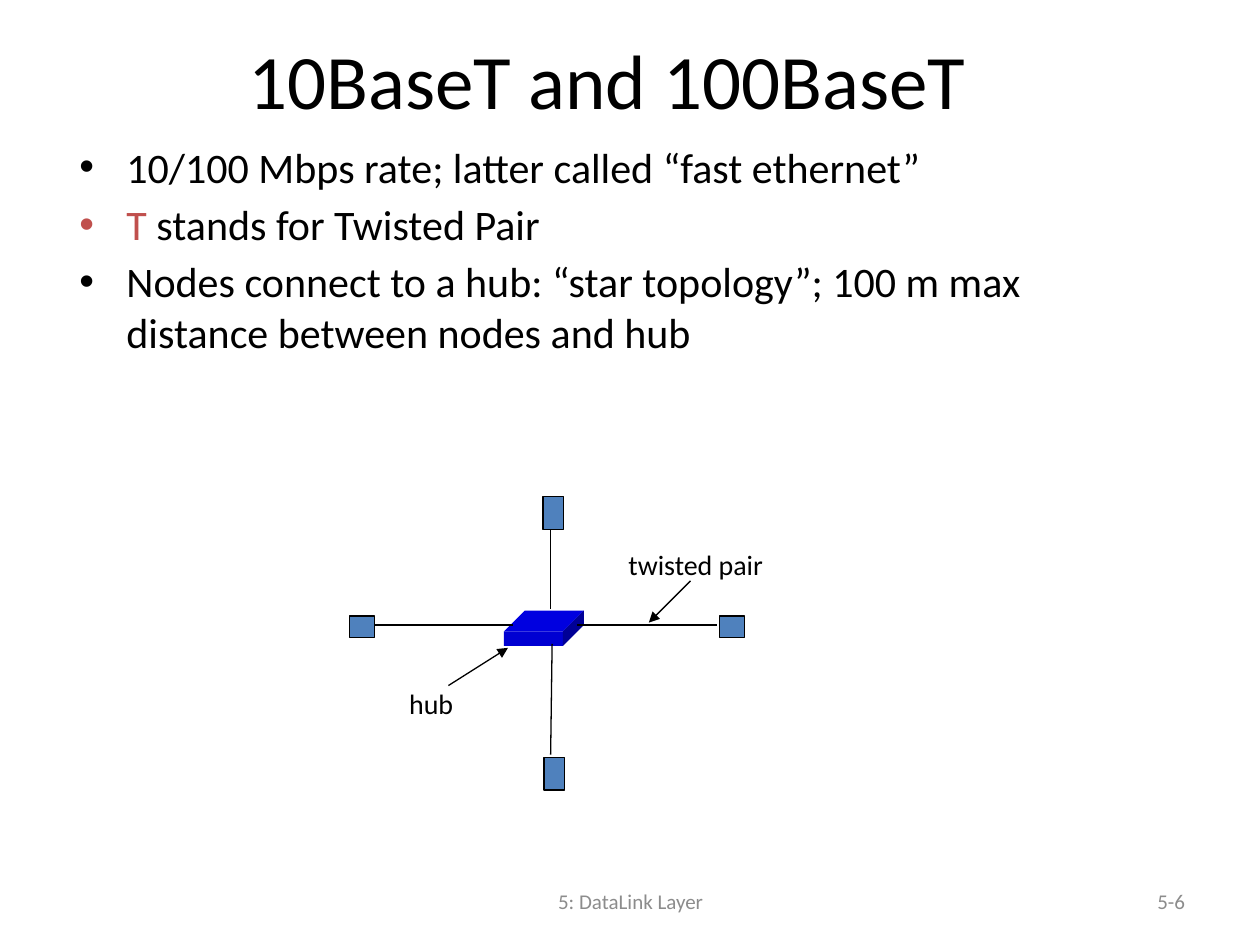
from lxml.etree import SubElement
from pptx import Presentation
from pptx.dml.color import RGBColor
from pptx.enum.shapes import MSO_CONNECTOR, MSO_SHAPE
from pptx.enum.text import MSO_ANCHOR, PP_ALIGN
from pptx.oxml.ns import qn
from pptx.util import Cm, Pt

BLACK = RGBColor(0x00, 0x00, 0x00)
GREY = RGBColor(0x8C, 0x8C, 0x8C)
RED = RGBColor(0xC0, 0x50, 0x4D)
NODE_BLUE = RGBColor(0x4F, 0x81, 0xBD)
HUB_FRONT = RGBColor(0x00, 0x00, 0xD2)
HUB_TOP = RGBColor(0x00, 0x00, 0xE0)
HUB_SIDE = RGBColor(0x00, 0x00, 0x96)


class SlideBuilder:
    font_name = "Calibri"
    line_width = Pt(0.75)

    def __init__(self, slide):
        self.slide = slide

    def text(self, box, paragraphs, size, color=BLACK, align=PP_ALIGN.LEFT,
             anchor=MSO_ANCHOR.TOP, wrap=True, bullets=False):
        """Each paragraph is a list of (text, color) runs; None means the box color."""
        frame = self.slide.shapes.add_textbox(*map(Cm, box)).text_frame
        frame.word_wrap = wrap
        frame.vertical_anchor = anchor
        for index, runs in enumerate(paragraphs):
            paragraph = frame.paragraphs[0] if index == 0 else frame.add_paragraph()
            paragraph.alignment = align
            if bullets:
                self.bullet(paragraph)
                paragraph.space_before = Pt(4 if index else 0)
            for content, run_color in runs:
                run = paragraph.add_run()
                run.text = content
                font_format = {"name": self.font_name, "size": Pt(size)}
                for name, value in font_format.items():
                    setattr(run.font, name, value)
                run.font.color.rgb = run_color or color

    def bullet(self, paragraph):
        properties = paragraph._p.get_or_add_pPr()
        indent = Cm(0.95)
        for name, value in {"marL": indent, "indent": -indent}.items():
            properties.set(name, str(value))
        SubElement(properties, qn("a:buFont")).set("typeface", "Arial")
        SubElement(properties, qn("a:buChar")).set("char", "•")

    def paint(self, shape, fill, outline=None):
        shape.shadow.inherit = False
        shape.fill.solid()
        shape.fill.fore_color.rgb = fill
        if outline is None:
            shape.line.fill.background()
        else:
            shape.line.color.rgb = outline
            shape.line.width = self.line_width

    def rectangle(self, box, fill, outline=None):
        shape = self.slide.shapes.add_shape(MSO_SHAPE.RECTANGLE, *map(Cm, box))
        self.paint(shape, fill, outline)

    def polygon(self, points, fill):
        start, *others = [(Cm(x), Cm(y)) for x, y in points]
        builder = self.slide.shapes.build_freeform(*start)
        builder.add_line_segments(others, close=True)
        self.paint(builder.convert_to_shape(), fill)

    def line(self, start, end, arrow=False):
        connector = self.slide.shapes.add_connector(
            MSO_CONNECTOR.STRAIGHT, *map(Cm, start + end))
        connector.line.color.rgb = BLACK
        connector.line.width = self.line_width
        if arrow:
            SubElement(connector.line._get_or_add_ln(), qn("a:tailEnd")).set("type", "triangle")
        SubElement(connector._element.spPr, qn("a:effectLst"))

    def block(self, left, top, width, height, depth):
        """A box seen from above: front, top and right faces."""
        right, bottom = left + width, top + height
        self.rectangle((left, top, width, height), HUB_FRONT)
        self.polygon([(left, top), (left + depth, top - depth),
                      (right + depth, top - depth), (right, top)], HUB_TOP)
        self.polygon([(right, top), (right + depth, top - depth),
                      (right + depth, bottom - depth), (right, bottom)], HUB_SIDE)


def main():
    presentation = Presentation()
    presentation.slide_width, presentation.slide_height = Cm(25.4), Cm(19.05)
    builder = SlideBuilder(presentation.slides.add_slide(presentation.slide_layouts[6]))

    # Footer and slide number
    for box, content, align in (
        ((8.69, 17.65, 8.05, 1.02), "5: DataLink Layer", PP_ALIGN.CENTER),
        ((18.21, 17.65, 5.93, 1.02), "5-6", PP_ALIGN.RIGHT),
    ):
        builder.text(box, [[(content, None)]], 12, GREY, align, MSO_ANCHOR.MIDDLE)

    # Title and bullets
    builder.text((1.45, 0, 21.59, 3.18), [[("10BaseT and 100BaseT", None)]], 44,
                 align=PP_ALIGN.CENTER, anchor=MSO_ANCHOR.MIDDLE)
    builder.text((1.35, 2.72, 21.59, 5.84), [
        [("10/100 Mbps rate; latter called “fast ethernet”", None)],
        [("T", RED), (" stands for Twisted Pair", None)],
        [("Nodes connect to a hub: “star topology”; 100 m max "
          "distance between nodes and hub", None)],
    ], 24, bullets=True)

    # Hub
    builder.block(10.16, 12.73, 1.19, 0.29, 0.42)

    # Nodes around the hub
    wide, tall = (0.51, 0.43), (0.41, 0.66)
    for position, size in (((7.04, 12.42), wide), ((14.5, 12.42), wide),
                           ((10.95, 10.01), tall), ((10.97, 15.27), tall)):
        builder.rectangle(position + size, NODE_BLUE, BLACK)

    # Cables from the nodes to the hub
    for node_end, hub_end in (
        ((7.54, 12.6), (10.34, 12.6)),
        ((11.1, 10.69), (11.1, 12.27)),
        ((14.45, 12.6), (11.63, 12.6)),
        ((11.1, 15.21), (11.13, 12.98)),
    ):
        builder.line(node_end, hub_end)

    # Labels with their arrows
    for box, content, start, end in (
        ((12.42, 10.92, 3.68, 0.94), "twisted pair", (13.92, 11.71), (13.08, 12.55)),
        ((8, 13.72, 1.47, 0.94), "hub", (9.04, 13.82), (10.24, 13.06)),
    ):
        builder.text(box, [[(content, None)]], 16, wrap=False)
        builder.line(start, end, arrow=True)

    presentation.save("out.pptx")


if __name__ == "__main__":
    main()
